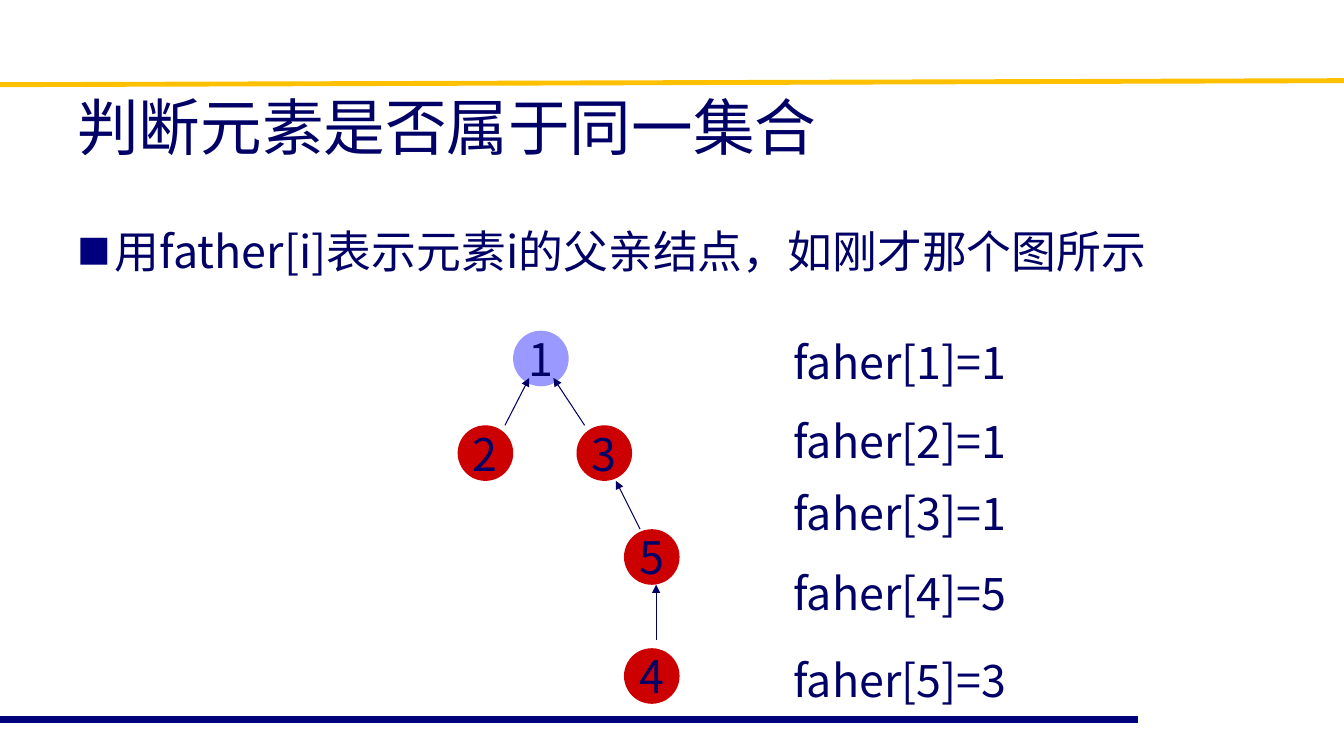
from dataclasses import dataclass

from lxml import etree
from pptx import Presentation
from pptx.enum import shapes, text
from pptx.oxml import ns
from pptx.util import Pt
from pptx.dml.color import RGBColor

COLORS = {
    "ink": "000066",
    "navy": "00007D",
    "gold": "FFC000",
    "root": "9999FF",
    "node": "CC0000",
    "white": "FFFFFF",
}
CJK_FONT = "Noto Sans CJK SC"
NODE_SIZE = 39.7
HANGING = 27


@dataclass
class Node:
    label: str
    left: float
    top: float
    color: str = "node"


@dataclass
class Line:
    start: tuple[float, float]
    end: tuple[float, float]
    color: str = "ink"
    width: float = 0.75
    arrow: bool = True


@dataclass
class Entry:
    index: int
    father: int
    top: float


RULES = [
    Line((0, 514), (813, 514), "navy", 4.5, False),
    Line((0, 60.5), (960, 57.6), "gold", 3.5, False),
]
NODES = [
    Node("1", 366.5, 236.2, "root"),
    Node("2", 326.9, 303.8),
    Node("3", 411.8, 303.8),
    Node("5", 445.7, 378),
    Node("4", 445.7, 463),
]
ARROWS = [
    Line((360.7, 303.8), (378, 270)),
    Line((417.6, 303.8), (395.3, 270)),
    Line((457.2, 378), (439.9, 343.4)),
    Line((468.7, 457.2), (468.7, 417.6)),
]
ENTRIES = [
    Entry(1, 1, 235.4),
    Entry(2, 1, 292.3),
    Entry(3, 1, 343.4),
    Entry(4, 5, 400.3),
    Entry(5, 3, 463),
]


def rgb(name: str) -> RGBColor:
    return RGBColor.from_string(COLORS[name])


def add_element(parent, tag: str, **attributes: str):
    return etree.SubElement(parent, ns.qn(tag), attributes)


def add_bullet(paragraph) -> None:
    properties = paragraph._p.get_or_add_pPr()
    properties.set("marL", str(Pt(HANGING)))
    properties.set("indent", str(-Pt(HANGING)))
    bullet_color = add_element(properties, "a:buClr")
    add_element(bullet_color, "a:srgbClr", val=COLORS["navy"])
    add_element(properties, "a:buSzPct", val="75000")
    add_element(properties, "a:buFont", typeface=CJK_FONT)
    add_element(properties, "a:buChar", char="■")


def write(shape, content: str, *, size: float = 32, font: str = CJK_FONT,
          align=text.PP_ALIGN.LEFT, anchor=text.MSO_ANCHOR.TOP,
          wrap: bool = True, bullet: bool = False) -> None:
    frame = shape.text_frame
    frame.auto_size = text.MSO_AUTO_SIZE.NONE
    frame.word_wrap = wrap
    frame.vertical_anchor = anchor
    paragraph = frame.paragraphs[0]
    paragraph.alignment = align
    paragraph.space_before = Pt(0)
    if bullet:
        add_bullet(paragraph)
    run = paragraph.add_run()
    run.text = content
    run.font.size = Pt(size)
    run.font.name = font
    run.font.color.rgb = rgb("ink")
    add_element(run.font._element, "a:ea", typeface=CJK_FONT)


def add_line(slide, line: Line) -> None:
    connector = slide.shapes.add_connector(
        shapes.MSO_CONNECTOR.STRAIGHT,
        *(Pt(value) for value in line.start + line.end))
    connector.line.color.rgb = rgb(line.color)
    connector.line.width = Pt(line.width)
    if line.arrow:
        add_element(connector.line._get_or_add_ln(), "a:tailEnd", type="triangle")
    add_element(connector._element.spPr, "a:effectLst")


def add_node(slide, node: Node) -> None:
    shape = slide.shapes.add_shape(
        shapes.MSO_SHAPE.OVAL, Pt(node.left), Pt(node.top),
        Pt(NODE_SIZE), Pt(NODE_SIZE))
    shape.shadow.inherit = False
    shape.fill.solid()
    shape.fill.fore_color.rgb = rgb(node.color)
    shape.line.fill.background()
    write(shape, node.label, align=text.PP_ALIGN.CENTER,
          anchor=text.MSO_ANCHOR.MIDDLE, wrap=False)


def add_text(slide, content: str, left: float, top: float,
             width: float, height: float, **text_format) -> None:
    box = slide.shapes.add_textbox(Pt(left), Pt(top), Pt(width), Pt(height))
    write(box, content, **text_format)


def main() -> None:
    presentation = Presentation()
    presentation.slide_width, presentation.slide_height = Pt(960), Pt(540)
    slide = presentation.slides.add_slide(presentation.slide_layouts[5])
    slide.background.fill.solid()
    slide.background.fill.fore_color.rgb = rgb("white")

    for rule in RULES:
        add_line(slide, rule)

    title = slide.shapes.title
    title.left, title.top, title.width, title.height = Pt(48), Pt(36), Pt(864), Pt(108)
    write(title, "判断元素是否属于同一集合", size=44, font="Arial",
          anchor=text.MSO_ANCHOR.MIDDLE)
    add_text(slide, "用father[i]表示元素i的父亲结点，如刚才那个图所示",
             48, 156, 864, 306, bullet=True)

    for node in NODES:
        add_node(slide, node)
    for arrow in ARROWS:
        add_line(slide, arrow)
    for entry in ENTRIES:
        add_text(slide, f"faher[{entry.index}]={entry.father}",
                 559.5, entry.top, 187, 46)

    presentation.save("out.pptx")


if __name__ == "__main__":
    main()
